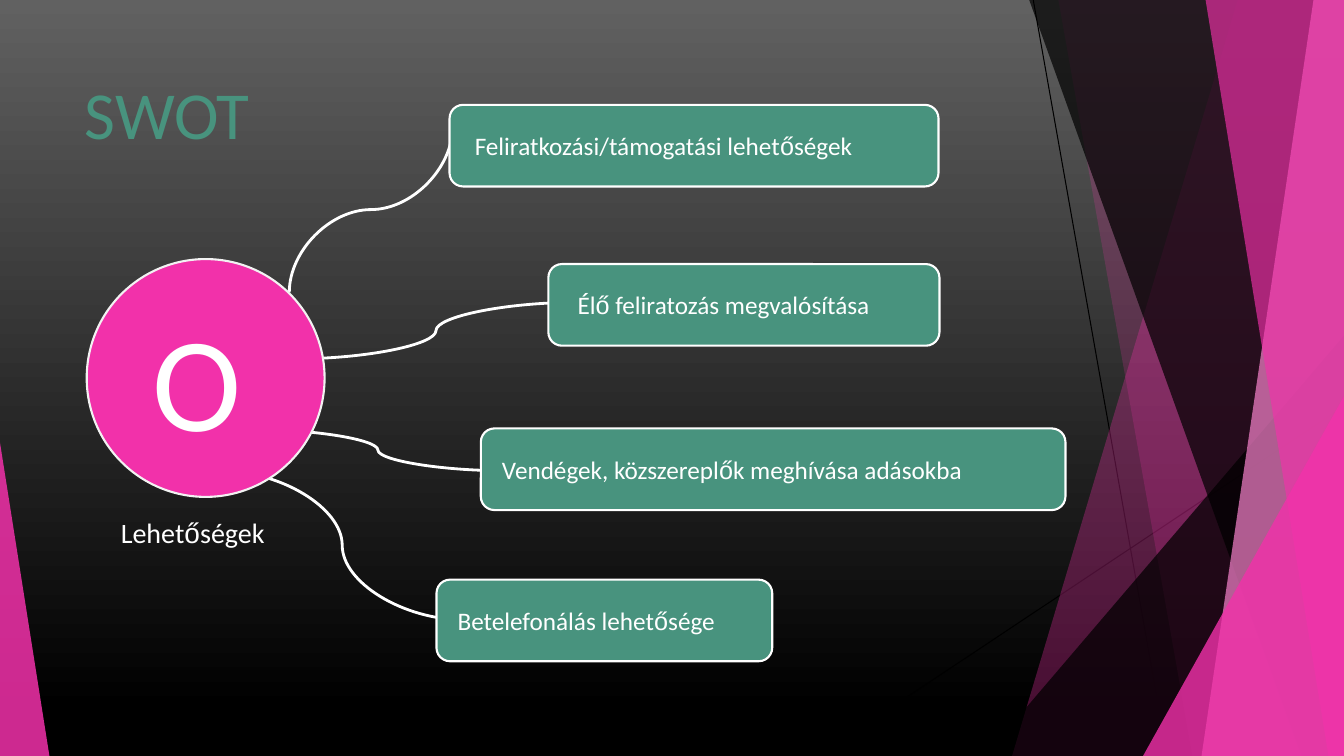
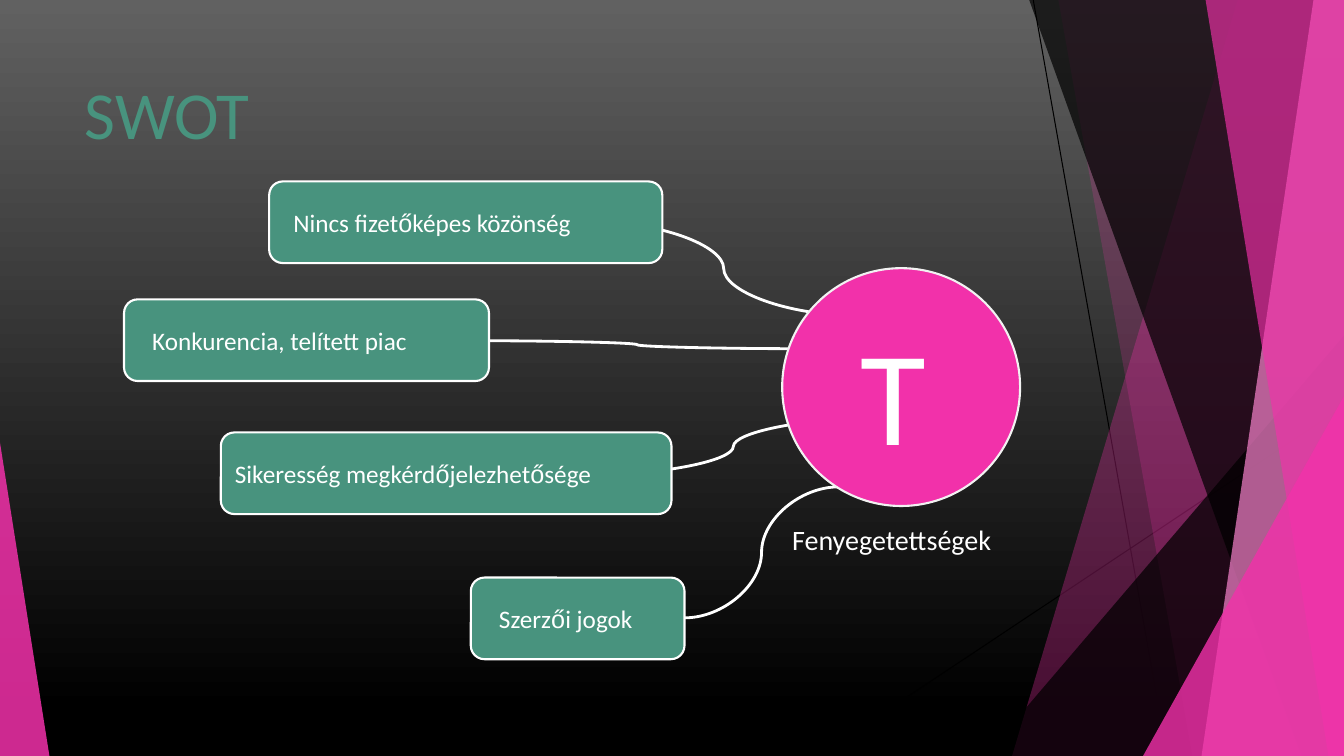
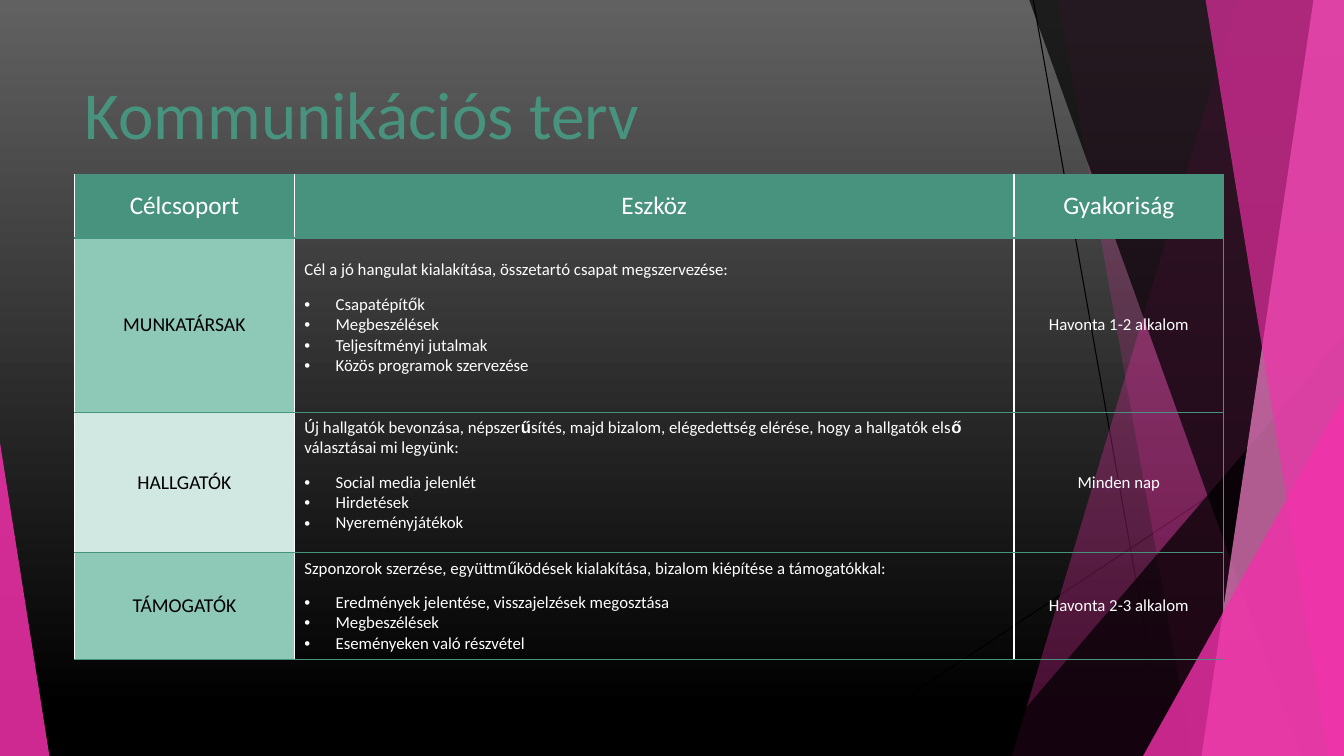
from itertools import groupby

from lxml.etree import SubElement
from pptx import Presentation
from pptx.dml.color import RGBColor
from pptx.enum.shapes import MSO_CONNECTOR as Link, MSO_SHAPE as Shape
from pptx.enum.text import MSO_ANCHOR as Anchor, MSO_AUTO_SIZE as Fit, PP_ALIGN as Align
from pptx.oxml.ns import qn
from pptx.util import Inches, Pt

WIDTH, HEIGHT = Inches(13.33), Inches(7.5)
COLORS = {
    "green": "48937E", "mint": "8EC8B7", "pale": "D0E8E1", "pink": "F231AA",
    "rose": "F783CC", "white": "FFFFFF", "frost": "F2F2F2", "black": "000000",
    "gray": "616161",
}
CARD_ROWS = 10.8
CIRCLE_COLS = 17.7

OPPORTUNITIES = {
    "letter": ("O", 10.58, 38.67),
    "circle": (6.45, 34.27),
    "caption": ("Lehetőségek", 8.25, 67.47),
    "cards": [
        ("Feliratkozási/támogatási lehetőségek", 33.45, 13.87, 36.38, 1.58),
        ("Élő feliratozás megvalósítása", 40.8, 34.93, 29.1, 1.88),
        ("Vendégek, közszereplők meghívása adásokba", 35.78, 56.67, 43.5, 1.28),
        ("Betelefonálás lehetősége", 32.48, 76.67, 24.98, 1.28),
    ],
    "links": [
        ((21.53, 38.67), (33.68, 16.8), True),
        ((21.98, 47.47), (42.9, 40), False),
        ((18.75, 56.8), (37.5, 62.27), False),
        ((16.35, 62.27), (34.58, 82), False),
    ],
}
THREATS = {
    "letter": ("T", 63.3, 40.53),
    "circle": (58.2, 35.47),
    "caption": ("Fenyegetettségek", 58.2, 68.4),
    "cards": [
        ("Nincs fizetőképes közönség", 20.03, 24, 29.25, 1.5),
        ("Konkurencia, telített piac", 9.23, 39.6, 27.15, 1.8),
        ("Sikeresség megkérdőjelezhetősége", 16.43, 57.2, 33.53, 0.75),
        ("Szerzői jogok", 35.03, 76.4, 15.9, 1.8),
    ],
    "links": [
        ((35.03, 45.07), (59.78, 46.13), False),
        ((44.1, 62.8), (65.03, 55.33), False),
        ((44.1, 29.33), (63.6, 41.73), False),
        ((62.4, 64.4), (50.93, 81.73), False),
    ],
}
HEADINGS = ["Célcsoport", "Eszköz", "Gyakoriság"]
AUDIENCES = [
    ("MUNKATÁRSAK", "mint", "Cél a jó hangulat kialakítása, összetartó csapat megszervezése:",
     ["Csapatépítők", "Megbeszélések", "Teljesítményi jutalmak", "Közös programok szervezése"],
     "Havonta 1-2 alkalom", False, 0.19),
    ("HALLGATÓK", "pale",
     "Új hallgatók bevonzása, népszerűsítés, majd bizalom, elégedettség elérése, "
     "hogy a hallgatók első választásai mi legyünk:",
     ["Social media jelenlét", "Hirdetések", "Nyereményjátékok"],
     "Minden nap", True, 0.19),
    ("TÁMOGATÓK", "mint",
     "Szponzorok szerzése, együttműködések kialakítása, bizalom kiépítése a támogatókkal:",
     ["Eredmények jelentése, visszajelzések megosztása", "Megbeszélések",
      "Eseményeken való részvétel"],
     "Havonta 2-3 alkalom", False, 0.05),
]


def col(share):
    """Turn hundredths of the slide width into a length."""
    return int(WIDTH * share / 100)


def row(share):
    """Turn hundredths of the slide height into a length."""
    return int(HEIGHT * share / 100)


def rgb(name):
    """Look up a palette colour."""
    return RGBColor.from_string(COLORS[name])


def write(para, text, size, color="white", align=Align.LEFT, bold_marks=False):
    """Write text, setting double-accented letters in the second font."""
    para.alignment = align
    for marked, letters in groupby(text, lambda letter: letter in "őű"):
        span = para.add_run()
        span.text = "".join(letters)
        span.font.name = "Arial" if marked else "Calibri"
        span.font.size = Pt(size)
        span.font.bold = marked and bold_marks
        span.font.color.rgb = rgb(color)


def paint(shape, fill, line=None, opacity=None):
    """Give a shape a flat fill, with an optional outline and opacity."""
    shape.shadow.inherit = False
    shape.fill.solid()
    shape.fill.fore_color.rgb = rgb(fill)
    if opacity is not None:
        color = shape.element.spPr.find(".//" + qn("a:srgbClr"))
        SubElement(color, qn("a:alpha"), val=str(opacity * 1000))
    if line:
        shape.line.color.rgb = rgb(line)
        shape.line.width = Pt(1.5)
    else:
        shape.line.fill.background()


def connect(shapes, kind, start, end, color, width):
    """Draw a shadowless connector between two points."""
    link = shapes.add_connector(kind, *start, *end)
    link.line.color.rgb = rgb(color)
    link.line.width = Pt(width)
    SubElement(link.element.spPr, qn("a:effectLst"))
    return link


def add_curve(page, start, end, upright):
    """Draw a curve that leaves its start sideways, or upright."""
    (x1, y1), (x2, y2) = [(col(x), row(y)) for x, y in (start, end)]
    if upright:
        mid_x, mid_y = (x1 + x2) // 2, (y1 + y2) // 2
        half_x, half_y = (x2 - x1) // 2, (y2 - y1) // 2
        x1, y1 = mid_x - half_y, mid_y + half_x
        x2, y2 = mid_x + half_y, mid_y - half_x
    link = connect(page.shapes, Link.CURVE, (x1, y1), (x2, y2), "white", 2)
    if upright:
        link.element.spPr.find(qn("a:xfrm")).set("rot", "5400000")


def add_blade(shapes, top, bottom, color, opacity):
    """Draw a full-height panel with a slanted left edge."""
    outline = shapes.build_freeform(col(top), 0)
    outline.add_line_segments([(WIDTH, 0), (WIDTH, HEIGHT), (col(bottom), HEIGHT)])
    paint(outline.convert_to_shape(), color, opacity=opacity)


def add_corner(shapes, left, right, top, apex, color, opacity):
    """Draw a right triangle standing on the lower edge."""
    corner = shapes.add_shape(Shape.ISOSCELES_TRIANGLE, col(left), row(top),
                              col(right - left), row(100 - top))
    corner.adjustments[0] = apex
    paint(corner, color, opacity=opacity)


def decorate(deck, page):
    """Build the facets on a page and move them to the master."""
    group = page.shapes.add_group_shape()
    shapes = group.shapes
    for start, end in [((76.88, 0), (86.85, 100)), ((100, 53.73), (60.9, 100))]:
        ends = [(col(x), row(y)) for x, y in (start, end)]
        connect(shapes, Link.STRAIGHT, *ends, "black", 0.75)
    add_blade(shapes, 92.1, 75.3, "pink", 30)
    add_blade(shapes, 78.75, 88.73, "pink", 20)
    add_corner(shapes, 73.28, 100, 44.4, 1, "black", 72)
    add_blade(shapes, 76.58, 96.83, "black", 70)
    add_blade(shapes, 97.73, 89.4, "rose", 70)
    add_blade(shapes, 89.7, 98.85, "pink", 65)
    add_corner(shapes, 85.05, 100, 52.4, 1, "pink", 80)
    add_corner(shapes, 0, 3.68, 58.53, 0, "pink", 85)
    deck.slide_master.shapes.element.insert(2, group.element)


def set_template(deck, layout):
    """Set the shared gradient and the place of the titles."""
    fill = deck.slide_master.background.fill
    fill.gradient()
    fill.gradient_angle = 270
    for stop, color, position in zip(fill.gradient_stops, ("gray", "black"), (0, 0.94)):
        stop.color.rgb = rgb(color)
        stop.position = position
    title = layout.placeholders[0]
    title.left, title.top = col(5.55), row(8.93)
    title.width, title.height = col(70.5), row(13.33)
    title.text_frame.vertical_anchor = Anchor.TOP
    title.text_frame.auto_size = Fit.NONE


def add_page(deck, layout, title):
    """Add a titled page."""
    page = deck.slides.add_slide(layout)
    write(page.shapes.title.text_frame.paragraphs[0], title, 48, "green")
    return page


def add_label(page, text, left, top, width, height, size):
    """Add a line of free text."""
    box = page.shapes.add_textbox(col(left), row(top), col(width), row(height))
    box.text_frame.word_wrap = True
    write(box.text_frame.paragraphs[0], text, size)


def add_card(page, text, left, top, width, pad):
    """Add a rounded card with its text."""
    card = page.shapes.add_shape(Shape.ROUNDED_RECTANGLE, col(left), row(top),
                                 col(width), row(CARD_ROWS))
    paint(card, "green", "white")
    frame = card.text_frame
    frame.word_wrap = True
    frame.margin_left, frame.margin_right = col(pad), 0
    frame.vertical_anchor = Anchor.MIDDLE
    write(frame.paragraphs[0], text, 18)


def add_swot(page, part):
    """Draw one SWOT letter with its linked cards."""
    for link in part["links"]:
        add_curve(page, *link)
    for card in part["cards"]:
        add_card(page, *card)
    left, top = part["circle"]
    circle = page.shapes.add_shape(Shape.OVAL, col(left), row(top),
                                   col(CIRCLE_COLS), col(CIRCLE_COLS))
    paint(circle, "pink", "frost")
    add_label(page, *part["letter"], 10.5, 22.7, 96)
    add_label(page, *part["caption"], 19.5, 5.87, 20)


def style_cell(cell, fill, right):
    """Set the borders, fill and anchor of a cell."""
    sides = {"a:lnL": "white", "a:lnR": right, "a:lnT": "green", "a:lnB": "green"}
    for tag, color in sides.items():
        line = SubElement(cell._tc.get_or_add_tcPr(), qn(tag), w=str(Pt(1)))
        SubElement(SubElement(line, qn("a:solidFill")), qn("a:srgbClr"), val=COLORS[color])
    if fill:
        cell.fill.solid()
        cell.fill.fore_color.rgb = rgb(fill)
    else:
        cell.fill.background()
    cell.vertical_anchor = Anchor.MIDDLE


def add_bullet(frame, text):
    """Add a bulleted line."""
    para = frame.add_paragraph()
    write(para, text, 12)
    props = para._p.get_or_add_pPr()
    props.set("marL", str(Inches(0.31)))
    props.set("indent", str(-Inches(0.31)))
    SubElement(props, qn("a:buFont"), typeface="Arial")
    SubElement(props, qn("a:buChar"), char="•")


def add_plan(page):
    """Add the communication table."""
    widths, heights = (16.35, 53.55, 15.6), (8.4, 23.07, 18.53, 14.13)
    table = page.shapes.add_table(len(heights), len(widths), col(5.55), row(23.07),
                                  col(sum(widths)), row(sum(heights))).table
    table.first_row = table.horz_banding = False
    for column, width in zip(table.columns, widths):
        column.width = col(width)
    for line, height in zip(table.rows, heights):
        line.height = row(height)
    fills = ["green"] + [audience[1] for audience in AUDIENCES]
    for index, fill in enumerate(fills):
        for place, right in enumerate(("white", "white", "green")):
            shown = fill if index == 0 or place == 0 else None
            style_cell(table.cell(index, place), shown, right)
    for place, heading in enumerate(HEADINGS):
        write(table.cell(0, place).text_frame.paragraphs[0], heading, 18, align=Align.CENTER)
    for index, audience in enumerate(AUDIENCES, 1):
        name, _, goal, tools, pace, bold_marks, bottom = audience
        group, means, rhythm = [table.cell(index, place) for place in range(3)]
        write(group.text_frame.paragraphs[0], name, 14, "black", Align.CENTER)
        write(rhythm.text_frame.paragraphs[0], pace, 12, align=Align.CENTER)
        means.margin_bottom = Inches(bottom)
        intro = means.text_frame.paragraphs[0]
        intro.space_after = Pt(9.8)
        write(intro, goal, 12, bold_marks=bold_marks)
        for tool in tools:
            add_bullet(means.text_frame, tool)


def main():
    """Build and save the deck."""
    deck = Presentation()
    deck.slide_width, deck.slide_height = WIDTH, HEIGHT
    layout = deck.slide_layouts[5]
    set_template(deck, layout)
    for index, part in enumerate((OPPORTUNITIES, THREATS)):
        page = add_page(deck, layout, "SWOT")
        if index == 0:
            decorate(deck, page)
        add_swot(page, part)
    add_plan(add_page(deck, layout, "Kommunikációs terv"))
    deck.save("out.pptx")


if __name__ == "__main__":
    main()
